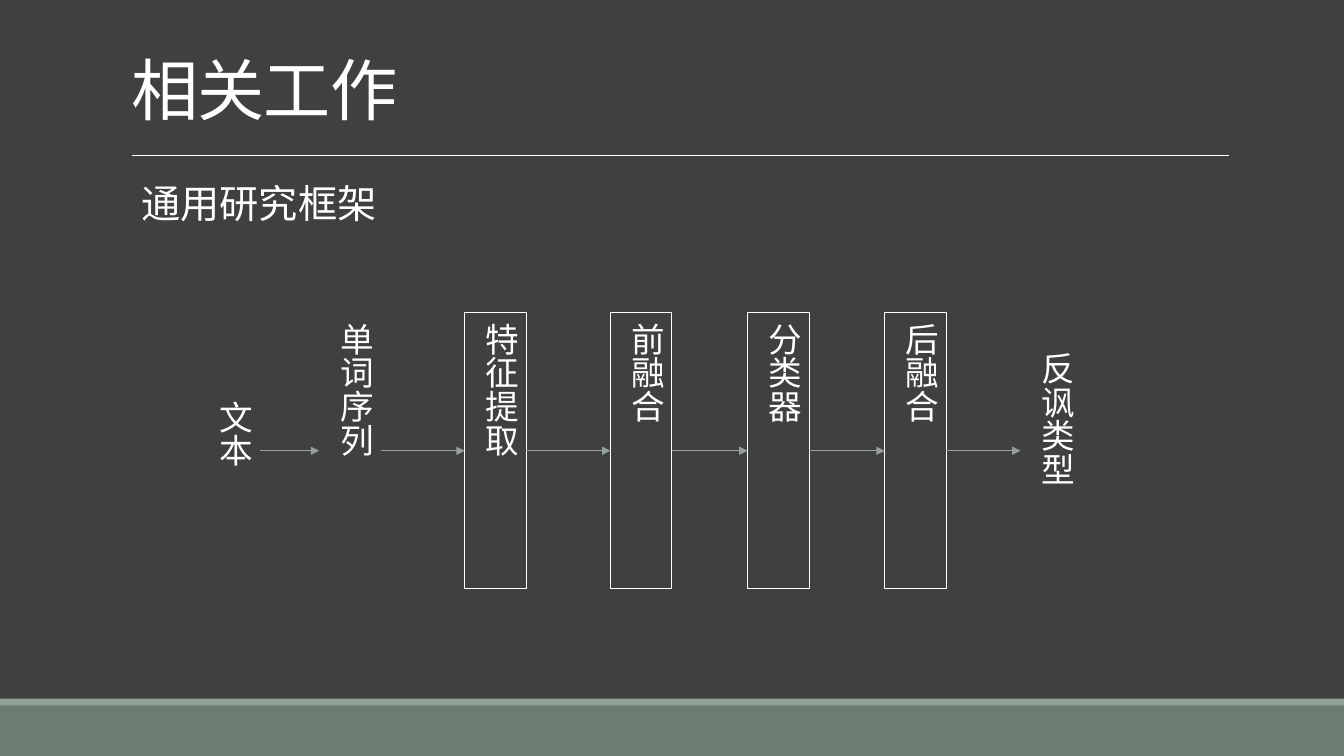
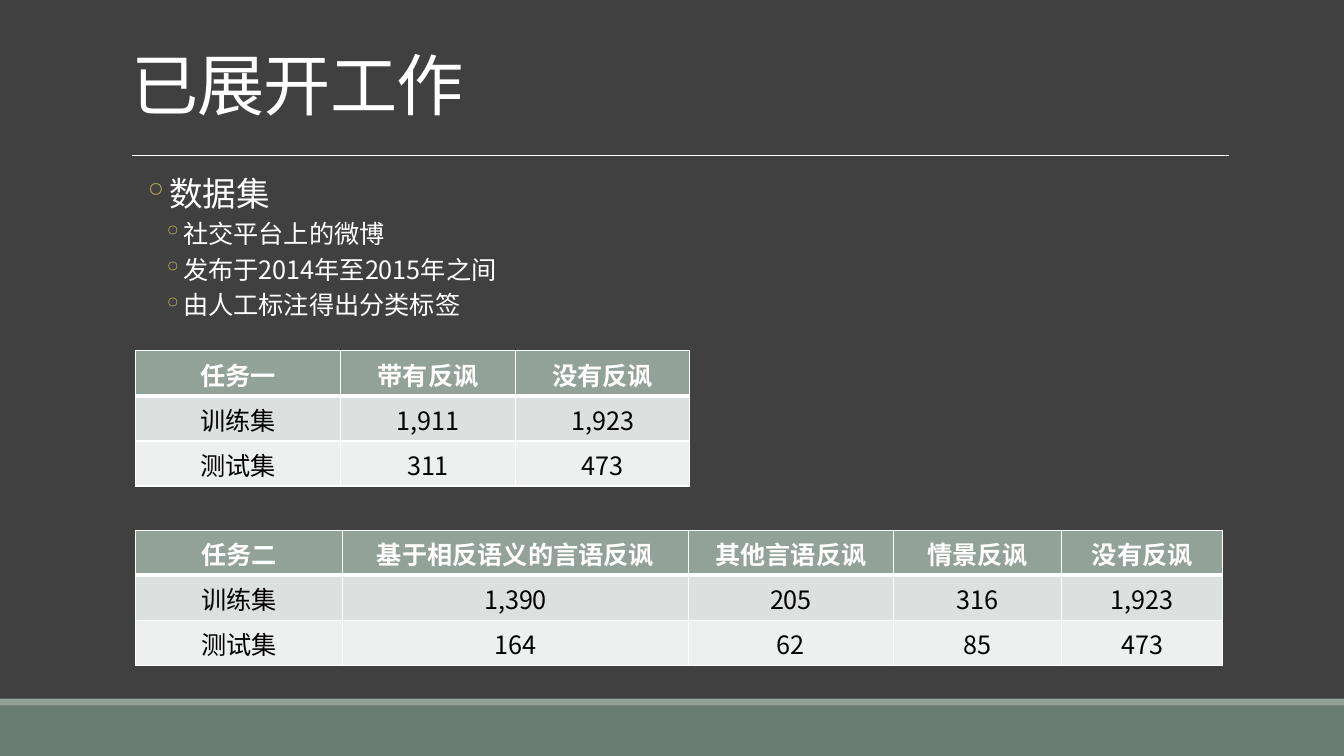
from dataclasses import dataclass

from lxml import etree
from pptx import Presentation
from pptx.dml.color import RGBColor
from pptx.enum.shapes import MSO_CONNECTOR, MSO_SHAPE
from pptx.enum.text import MSO_ANCHOR, MSO_AUTO_SIZE, PP_ALIGN
from pptx.oxml.ns import qn
from pptx.util import Pt

STRAIGHT = MSO_CONNECTOR.STRAIGHT
RECTANGLE = MSO_SHAPE.RECTANGLE
TOP, MIDDLE, BOTTOM = MSO_ANCHOR.TOP, MSO_ANCHOR.MIDDLE, MSO_ANCHOR.BOTTOM
FIT_SHAPE, NO_FIT = MSO_AUTO_SIZE.SHAPE_TO_FIT_TEXT, MSO_AUTO_SIZE.NONE
LEFT, CENTER = PP_ALIGN.LEFT, PP_ALIGN.CENTER
TITLE_ONLY = 5


@dataclass(frozen=True)
class Theme:
    font: str = "Noto Sans CJK SC"
    background: str = "404040"
    text: str = "FFFFFF"
    dark_text: str = "000000"
    accent: str = "93A299"
    footer: str = "6B7D72"
    bullet: str = "B5AE53"
    row_fills: tuple = ("DCE0DE", "EEF0EF")
    title_size: int = 48
    heading_size: int = 28
    large_size: int = 24
    small_size: int = 18


THEME = Theme()
SLIDE_WIDTH, SLIDE_HEIGHT = 960, 540
RULE_LEFT, RULE_RIGHT, RULE_Y = 94, 878, 111
CONTENT_LEFT, CONTENT_WIDTH = 86.4, 792

FLOW_Y = 322
STEP_WIDTH = 44
# Label, left, height, outlined
STEPS = [
    ("文本", 142, 86, False),
    ("单词序列", 228, 197, False),
    ("特征提取", 332, 197, True),
    ("前融合", 436, 197, True),
    ("分类器", 534, 197, True),
    ("后融合", 632, 197, True),
    ("反讽类型", 729, 155, False),
]

# Level, text
DATASET_POINTS = [
    (0, "数据集"),
    (1, "社交平台上的微博"),
    (1, "发布于2014年至2015年之间"),
    (1, "由人工标注得出分类标签"),
]

TABLE_LEFT, ROW_HEIGHT = 97, 32.2
TASK_ONE = [
    ("任务一", "带有反讽", "没有反讽"),
    ("训练集", "1,911", "1,923"),
    ("测试集", "311", "473"),
]
TASK_TWO = [
    ("任务二", "基于相反语义的言语反讽", "其他言语反讽", "情景反讽", "没有反讽"),
    ("训练集", "1,390", "205", "316", "1,923"),
    ("测试集", "164", "62", "85", "473"),
]


def points(*lengths):
    return [Pt(length) for length in lengths]


def rgb(color):
    return RGBColor.from_string(color)


def add_span(para, text, size, color=THEME.text, bold=False):
    span = para.add_run()
    span.text = text
    font = span.font
    font.size, font.bold, font.name = Pt(size), bold, THEME.font
    font.color.rgb = rgb(color)
    properties = span.font._element
    etree.SubElement(properties, qn("a:ea"), typeface=THEME.font)
    return span


def add_line(slide, start, end, color, width, arrow=False):
    line = slide.shapes.add_connector(STRAIGHT, *points(*start, *end))
    line.line.color.rgb = rgb(color)
    line.line.width = Pt(width)
    properties = line.element.spPr
    if arrow:
        etree.SubElement(properties.find(qn("a:ln")), qn("a:tailEnd"), type="triangle")
    etree.SubElement(properties, qn("a:effectLst"))


def add_band(slide, top, height, color):
    band = slide.shapes.add_shape(RECTANGLE, *points(0, top, SLIDE_WIDTH, height))
    band.shadow.inherit = False
    band.fill.solid()
    band.fill.fore_color.rgb = rgb(color)
    band.line.fill.background()


def add_slide(deck, title, title_bottom):
    """Add a slide with the shared bands, rule and title."""
    slide = deck.slides.add_slide(deck.slide_layouts[TITLE_ONLY])
    add_band(slide, 504, 36, THEME.footer)
    add_band(slide, 499, 5, THEME.accent)
    add_line(slide, (RULE_LEFT, RULE_Y), (RULE_RIGHT, RULE_Y), THEME.text, 0.5)

    box = slide.shapes.title
    box.left, box.top, box.width, box.height = points(
        CONTENT_LEFT, 0, CONTENT_WIDTH, title_bottom)
    frame = box.text_frame
    frame.vertical_anchor, frame.auto_size = BOTTOM, NO_FIT
    para = frame.paragraphs[0]
    para.alignment, para.line_spacing = LEFT, 0.85
    span = add_span(para, title, THEME.title_size)
    span.font._element.set("spc", "-50")
    return slide


def add_heading(slide, text):
    box = slide.shapes.add_textbox(*points(RULE_LEFT, 124.6, 184, 41))
    box.text_frame.word_wrap = False
    box.text_frame.auto_size = FIT_SHAPE
    add_span(box.text_frame.paragraphs[0], text, THEME.heading_size)


def add_step(slide, label, left, height, outlined):
    """Add a vertical label centred on the flow axis."""
    box = slide.shapes.add_textbox(
        *points(left, FLOW_Y - height / 2, STEP_WIDTH, height))
    if outlined:
        box.line.color.rgb = rgb(THEME.text)
        box.line.width = Pt(0.75)
    frame = box.text_frame
    frame.word_wrap, frame.auto_size, frame.vertical_anchor = True, FIT_SHAPE, TOP
    box.element.txBody.bodyPr.set("vert", "eaVert")
    para = frame.paragraphs[0]
    para.alignment = CENTER
    add_span(para, label, THEME.large_size)


def add_flow(slide, steps):
    for step in steps:
        add_step(slide, *step)
    for (_, left, *_), (_, next_left, *_) in zip(steps, steps[1:]):
        add_line(slide, (left + STEP_WIDTH, FLOW_Y), (next_left, FLOW_Y),
                 THEME.accent, 1, arrow=True)


def add_bullet(para, level):
    properties = para._p.get_or_add_pPr()
    properties.set("marL", str(Pt(30 + 14.4 * level)))
    properties.set("indent", str(Pt(-14.4)))
    color = etree.SubElement(properties, qn("a:buClr"))
    etree.SubElement(color, qn("a:srgbClr"), val=THEME.bullet)
    etree.SubElement(properties, qn("a:buChar"), char="◦")


def add_bullet_list(slide, items):
    box = slide.shapes.add_textbox(*points(CONTENT_LEFT, 123, CONTENT_WIDTH, 112))
    frame = box.text_frame
    frame.word_wrap = True
    frame.margin_left = frame.margin_right = 0
    for index, (level, text) in enumerate(items):
        para = frame.add_paragraph() if index else frame.paragraphs[0]
        para.level = level
        add_bullet(para, level)
        para.line_spacing = 0.9
        para.space_before, para.space_after = Pt(2 if index else 0), Pt(4)
        add_span(para, text, THEME.small_size if level else THEME.large_size)


def set_borders(cell, top, bottom):
    properties = cell._tc.get_or_add_tcPr()
    for side, width in (("L", 1), ("R", 1), ("T", top), ("B", bottom)):
        line = etree.SubElement(properties, qn("a:ln" + side), w=str(Pt(width)))
        fill = etree.SubElement(line, qn("a:solidFill"))
        etree.SubElement(fill, qn("a:srgbClr"), val=THEME.text)


def fill_cell(cell, text, row_index):
    is_header = row_index == 0
    set_borders(cell, top=3 if row_index == 1 else 1, bottom=3 if is_header else 1)
    cell.fill.solid()
    cell.fill.fore_color.rgb = rgb(
        THEME.accent if is_header else THEME.row_fills[(row_index - 1) % 2])
    cell.vertical_anchor = MIDDLE
    para = cell.text_frame.paragraphs[0]
    para.alignment = CENTER
    add_span(para, text, THEME.small_size,
             THEME.text if is_header else THEME.dark_text, bold=is_header)


def add_data_table(slide, top, widths, rows):
    frame = slide.shapes.add_table(
        len(rows), len(widths),
        *points(TABLE_LEFT, top, sum(widths), ROW_HEIGHT * len(rows)))
    table = frame.table
    table.horz_banding = False
    for column, width in zip(table.columns, widths):
        column.width = Pt(width)
    for row_index, texts in enumerate(rows):
        table.rows[row_index].height = Pt(ROW_HEIGHT)
        for column_index, text in enumerate(texts):
            fill_cell(table.cell(row_index, column_index), text, row_index)


def main():
    deck = Presentation()
    deck.slide_width, deck.slide_height = points(SLIDE_WIDTH, SLIDE_HEIGHT)
    background = deck.slide_master.background.fill
    background.solid()
    background.fore_color.rgb = rgb(THEME.background)

    framework = add_slide(deck, "相关工作", title_bottom=95.8)
    add_heading(framework, "通用研究框架")
    add_flow(framework, STEPS)

    progress = add_slide(deck, "已展开工作", title_bottom=92.2)
    add_bullet_list(progress, DATASET_POINTS)
    add_data_table(progress, 250.6, (146, 125.5, 124), TASK_ONE)
    add_data_table(progress, 378.7, (147.5, 247.5, 146, 120.5, 115), TASK_TWO)

    deck.save("out.pptx")


if __name__ == "__main__":
    main()
